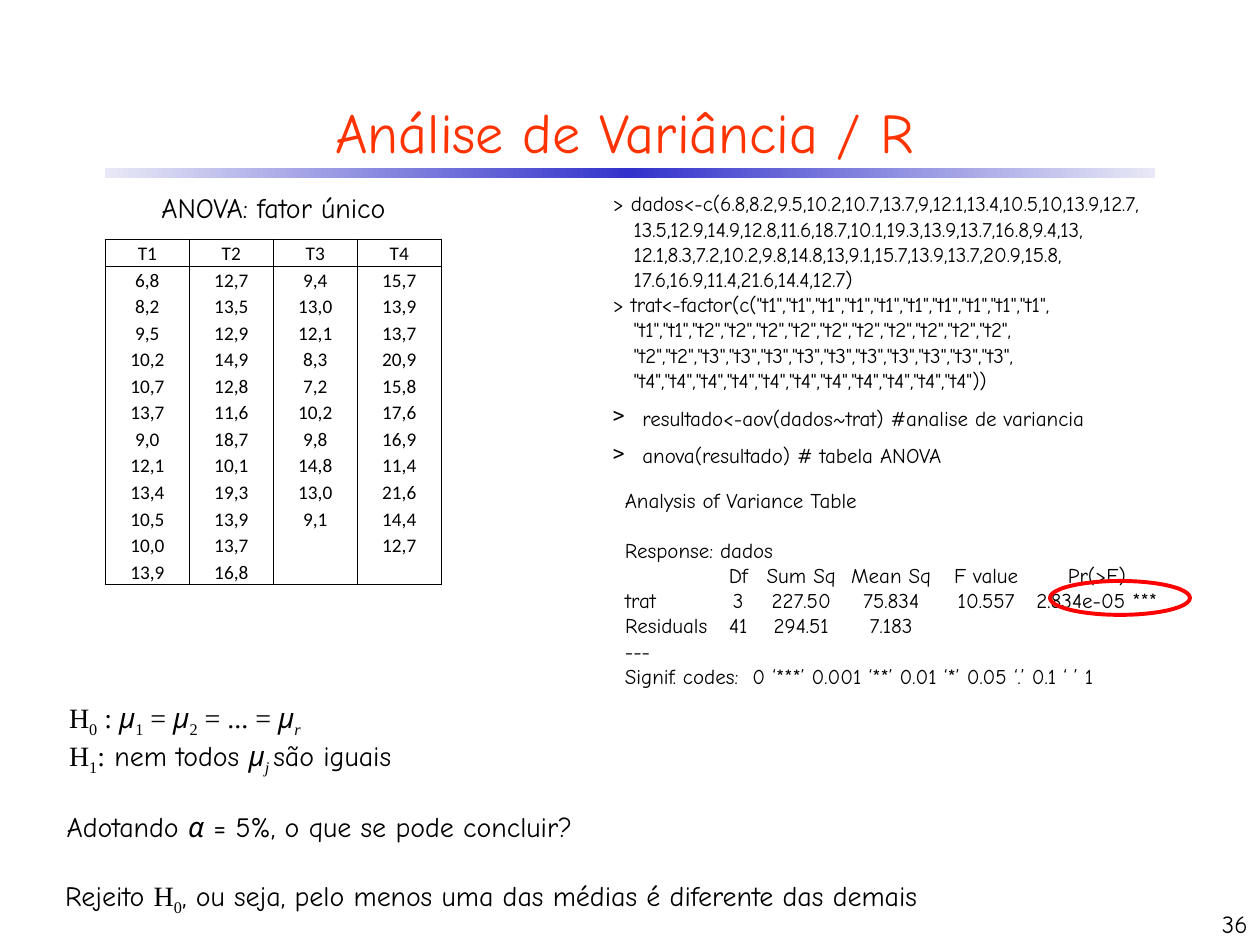
from copy import deepcopy
from lxml.etree import SubElement
from pptx import Presentation
from pptx.dml.color import RGBColor
from pptx.enum.shapes import MSO_SHAPE
from pptx.enum.text import MSO_ANCHOR, PP_ALIGN
from pptx.oxml.ns import qn
from pptx.util import Pt

COLORS = {"text": "000000", "title": "FF3300", "paper": "FFFFFF", "highlight": "FF0000",
          "bar_edge": "E8E8F6", "bar_middle": "3333CC"}
RUN_STYLES = {
    "plain": {"name": "Comic Neue"},
    "greek": {"name": "Comic Neue", "italic": True},
    "serif": {"name": "Times New Roman"},
    "sub": {"name": "Times New Roman"},
    "sub_italic": {"name": "Times New Roman", "italic": True},
    "table": {"name": "Calibri"},
}
HYPOTHESES = [
    ([("H", "serif"), ("0", "sub"), (" : ", "serif"), ("μ", "greek"), ("1", "sub"),
      (" = ", "serif"), ("μ", "greek"), ("2", "sub"), (" = ... = ", "serif"),
      ("μ", "greek"), ("r", "sub_italic")], {}),
    ([("H", "serif"), ("1", "sub"), (":", "serif"), (" nem todos ", "plain"),
      ("μ", "greek"), ("j ", "sub_italic"), ("são iguais", "plain")], {}),
]
QUESTION = [([("Adotando ", "plain"), ("α ", "greek"),
              ("= 5%, o que se pode concluir?", "plain")], {})]
ANSWER = [([("Rejeito ", "plain"), ("H", "serif"), ("0", "sub"),
            (", ou seja, pelo menos uma das médias é diferente das demais", "plain")], {})]
DATA_START = "> dados<-c(6.8,8.2,9.5,10.2,10.7,13.7,9,12.1,13.4,10.5,10,13.9,12.7,"
DATA_REST = """13.5,12.9,14.9,12.8,11.6,18.7,10.1,19.3,13.9,13.7,16.8,9.4,13,
12.1,8.3,7.2,10.2,9.8,14.8,13,9.1,15.7,13.9,13.7,20.9,15.8,
17.6,16.9,11.4,21.6,14.4,12.7)"""
FACTOR = """> trat<-factor(c("t1","t1","t1","t1","t1","t1","t1","t1","t1","t1",
"t1","t1","t2","t2","t2","t2","t2","t2","t2","t2","t2","t2",
"t2","t2","t3","t3","t3","t3","t3","t3","t3","t3","t3","t3",
"t4","t4","t4","t4","t4","t4","t4","t4","t4","t4","t4"))"""
SIGNIFICANCE = "Signif. codes:  0 ‘***’ 0.001 ‘**’ 0.01 ‘*’ 0.05 ‘.’ 0.1 ‘ ’ 1"
ANOVA_ROWS = [
    ["", "Df", "Sum Sq", "Mean Sq", "F value", "Pr(>F)"],
    ["trat", "3", "227.50", "75.834", "10.557", "2.834e-05 ***"],
    ["Residuals", "41", "294.51", "7.183", "", ""],
]
ANOVA_WIDTHS = [51, 27.4, 44.6, 58.2, 50.4, 76]
TREATMENTS = [
    "T1 6,8 8,2 9,5 10,2 10,7 13,7 9,0 12,1 13,4 10,5 10,0 13,9",
    "T2 12,7 13,5 12,9 14,9 12,8 11,6 18,7 10,1 19,3 13,9 13,7 16,8",
    "T3 9,4 13,0 12,1 8,3 7,2 10,2 9,8 14,8 13,0 9,1",
    "T4 15,7 13,9 13,7 20,9 15,8 17,6 16,9 11,4 21,6 14,4 12,7",
]
ROWS = 13


def rgb(role):
    return RGBColor.from_string(COLORS[role])


def apply(target, values):
    for attribute, value in values.items():
        setattr(target, attribute, value)


def plain(text, **layout):
    return [(text, "plain")], layout


def add_words(paragraph, text, size, style="plain", color="text"):
    for number, line in enumerate(text.split("\n")):
        if number:
            paragraph.add_line_break()
        run = paragraph.add_run()
        run.text = line
        apply(run.font, {"size": Pt(size), **RUN_STYLES[style]})
        run.font.color.rgb = rgb(color)
        if style.startswith("sub"):
            run.font._element.set("baseline", "-25000")


def set_layout(paragraph, margin=0, hanging=0, spacing=1.0, before=0, bullet=None):
    apply(paragraph, {"line_spacing": spacing, "space_before": Pt(before)})
    properties = paragraph._p.get_or_add_pPr()
    properties.set("marL", str(Pt(margin)))
    properties.set("indent", str(Pt(-hanging)))
    if bullet:
        SubElement(properties, qn("a:buChar"), char=bullet)


def add_text(slide, box, entries, size=16, align=PP_ALIGN.LEFT,
             anchor=MSO_ANCHOR.TOP, color="text"):
    frame = slide.shapes.add_textbox(*map(Pt, box)).text_frame
    apply(frame, {"word_wrap": True, "vertical_anchor": anchor})
    for index, (parts, layout) in enumerate(entries):
        paragraph = frame.add_paragraph() if index else frame.paragraphs[0]
        paragraph.alignment = align
        set_layout(paragraph, **layout)
        for text, style in parts:
            add_words(paragraph, text, size, style, color)


def add_title_bar(slide):
    bar = slide.shapes.add_shape(MSO_SHAPE.RECTANGLE, Pt(60), Pt(96), Pt(600), Pt(6))
    bar.shadow.inherit = False
    bar.line.fill.background()
    bar.fill.gradient()
    bar.fill.gradient_angle = 0
    stops = bar._element.spPr.find(".//" + qn("a:gsLst"))
    stops.insert(1, deepcopy(stops[0]))
    roles = ["bar_edge", "bar_middle", "bar_edge"]
    for index, (stop, role) in enumerate(zip(bar.fill.gradient_stops, roles)):
        stop.position = index / 2
        stop.color.rgb = rgb(role)


def add_highlight(slide):
    ring = slide.shapes.add_shape(MSO_SHAPE.OVAL, Pt(600), Pt(332), Pt(80), Pt(19.4))
    ring.shadow.inherit = False
    ring.fill.background()
    ring.line.color.rgb = rgb("highlight")
    ring.line.width = Pt(2.25)


def set_borders(cell, widths):
    properties = cell._tc.get_or_add_tcPr()
    for index, (side, width) in enumerate(widths.items()):
        border = SubElement(properties, qn("a:ln" + side), w=str(Pt(width)))
        properties.insert(index, border)
        fill = SubElement(border, qn("a:solidFill" if width else "a:noFill"))
        if width:
            SubElement(fill, qn("a:srgbClr"), val=COLORS["text"])


def fill_cell(cell, text, size, style, margin, align=PP_ALIGN.CENTER):
    apply(cell, {"margin_left": Pt(margin), "margin_right": Pt(margin), "margin_bottom": 0,
                 "margin_top": Pt(margin), "vertical_anchor": MSO_ANCHOR.BOTTOM})
    paragraph = cell.text_frame.paragraphs[0]
    paragraph.alignment = align
    if text:
        add_words(paragraph, text, size, style)
    else:
        SubElement(paragraph._p, qn("a:endParaRPr"), sz=str(size * 100))


def add_grid(slide, left, top, widths, row_height, rows):
    table = slide.shapes.add_table(rows, len(widths), Pt(left), Pt(top),
                                   Pt(sum(widths)), Pt(row_height * rows)).table
    apply(table, {"first_row": False, "horz_banding": False})
    for column, width in zip(table.columns, widths):
        column.width = Pt(width)
    for row in table.rows:
        row.height = Pt(row_height)
    return table


def add_treatments(slide):
    last = len(TREATMENTS) - 1
    table = add_grid(slide, 60.2, 136.8, [48] * len(TREATMENTS), 15.18, ROWS)
    for column, values in enumerate(TREATMENTS):
        texts = values.split()
        for row in range(ROWS):
            cell = table.cell(row, column)
            fill_cell(cell, texts[row] if row < len(texts) else "", 11, "table", 0.7)
            cell.fill.solid()
            cell.fill.fore_color.rgb = rgb("paper")
            set_borders(cell, {"L": 1 if column == 0 else 0.5,
                               "R": 1 if column == last else 0.5,
                               "T": {0: 1, 1: 0.5}.get(row, 0),
                               "B": {0: 0.5, ROWS - 1: 1}.get(row, 0)})


def add_anova_output(slide):
    add_text(slide, (350, 275, 360, 50), [
        plain("Analysis of Variance Table"), plain("Response: dados", before=14.4)], 12)
    table = add_grid(slide, 357.2, 321.8, ANOVA_WIDTHS, 14.4, len(ANOVA_ROWS))
    for row, texts in enumerate(ANOVA_ROWS):
        for column, text in enumerate(texts):
            cell = table.cell(row, column)
            fill_cell(cell, text, 12, "plain", 0,
                      PP_ALIGN.CENTER if column else PP_ALIGN.LEFT)
            cell.fill.background()
            set_borders(cell, dict.fromkeys("LRTB", 0))
    add_text(slide, (350, 361.4, 360, 36), [plain("---"), plain(SIGNIFICANCE)], 12)


def main():
    deck = Presentation()
    apply(deck, {"slide_width": Pt(720), "slide_height": Pt(540)})
    slide = deck.slides.add_slide(deck.slide_layouts[6])
    add_title_bar(slide)
    add_anova_output(slide)
    command = {"margin": 17, "hanging": 17, "spacing": 1.5, "bullet": ">"}
    add_text(slide, (343, 105.6, 379, 167), [
        plain(DATA_START), plain(DATA_REST, margin=12), plain(FACTOR, margin=12, hanging=12),
        plain("resultado<-aov(dados~trat) #analise de variancia", **command),
        plain("anova(resultado) # tabela ANOVA", **command)], 12)
    add_text(slide, (32.4, 396.7, 246, 54), HYPOTHESES)
    add_text(slide, (24, 48, 666, 54), [plain("Análise de Variância / R")],
             32, PP_ALIGN.CENTER, MSO_ANCHOR.MIDDLE, "title")
    add_text(slide, (31, 459, 618.5, 26.6), QUESTION)
    add_text(slide, (30.2, 498.4, 618.5, 26.6), ANSWER)
    add_highlight(slide)
    add_text(slide, (570, 504, 150, 36), [plain("36")], 14, PP_ALIGN.RIGHT, MSO_ANCHOR.BOTTOM)
    add_text(slide, (54.4, 105.6, 203.8, 26.6), [plain("ANOVA: fator único")],
             align=PP_ALIGN.CENTER)
    add_treatments(slide)
    deck.save("out.pptx")


if __name__ == "__main__":
    main()
